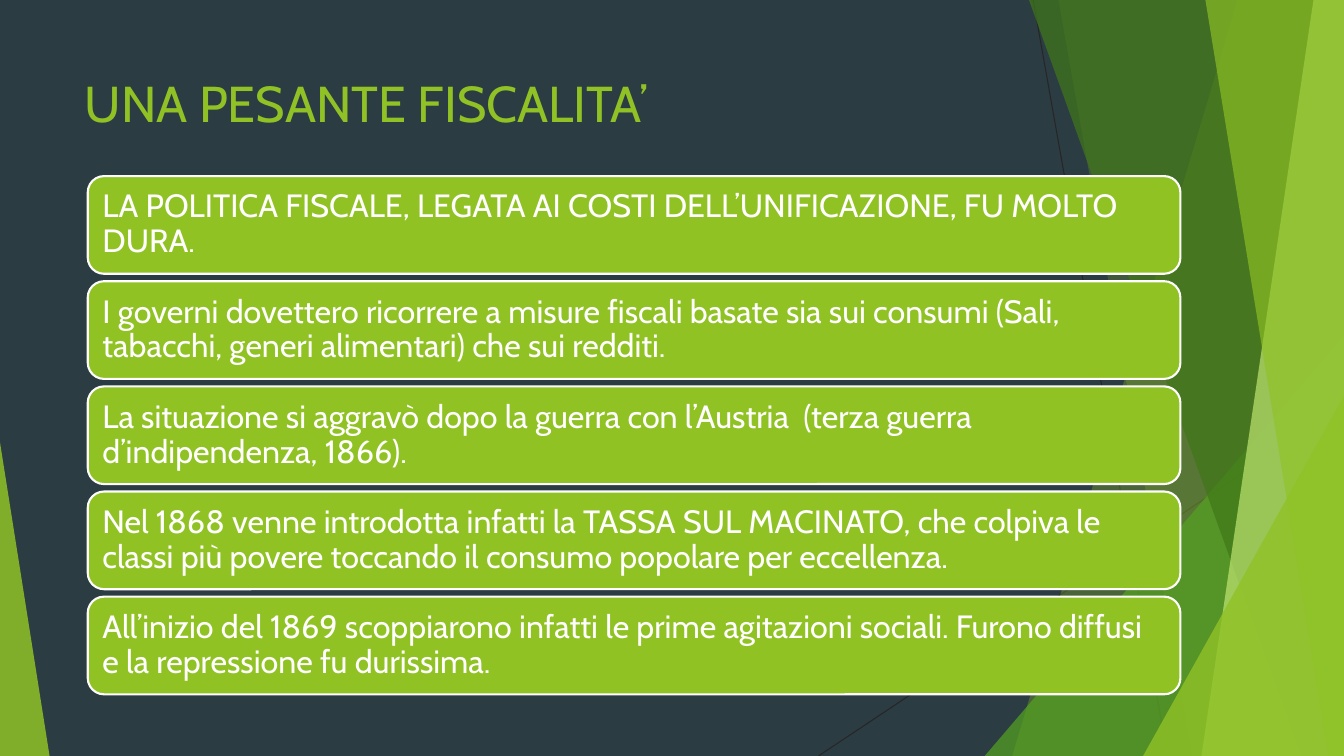
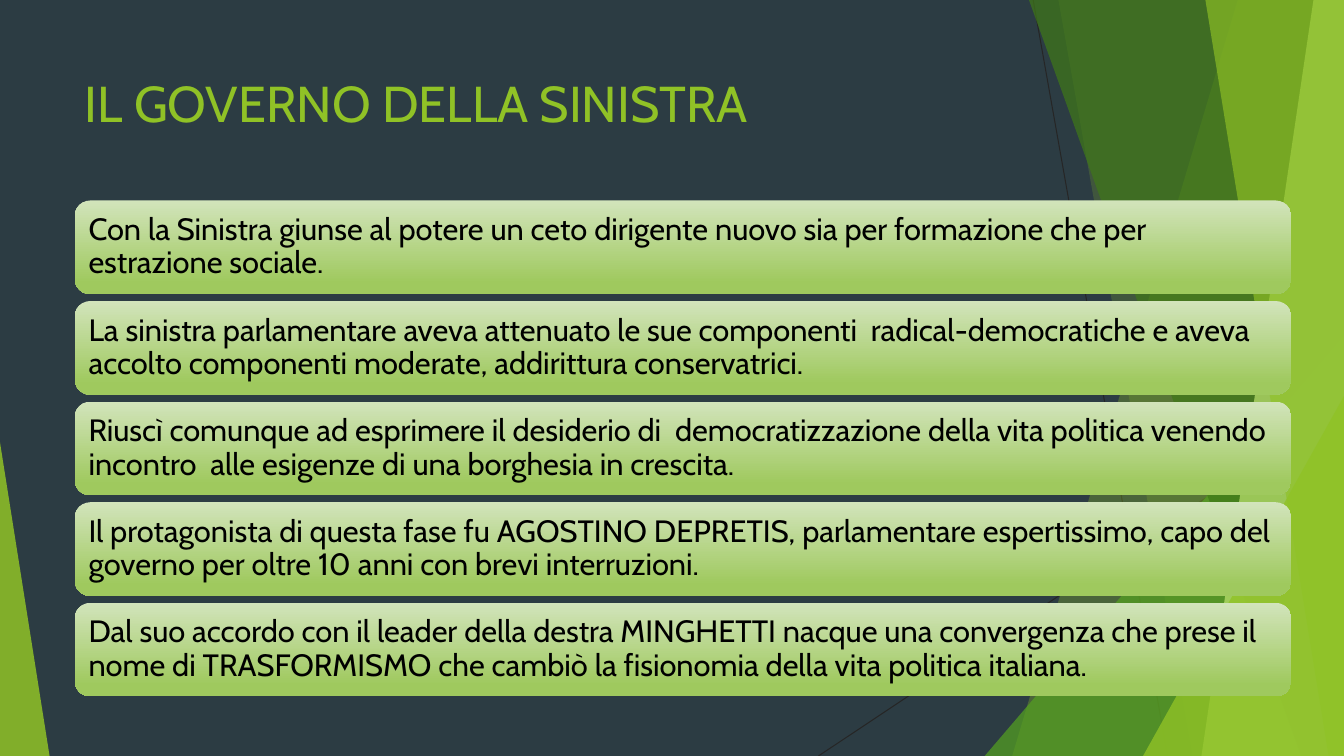
"""Two slides on Italian fiscal policy and the government of the Left."""
from lxml import etree
from pptx import Presentation
from pptx.dml.color import RGBColor
from pptx.enum.shapes import MSO_CONNECTOR, MSO_SHAPE
from pptx.enum.text import MSO_ANCHOR, PP_ALIGN
from pptx.oxml.ns import qn
from pptx.util import Pt

THEME = {
    "font": "Cabin", "title_size": 36,
    "background": "2C3C43", "hairline": "262626",
    "lime": "90C226", "green": "54A021", "forest": "3F7818", "pale": "BFE471",
    "card": "90C223", "card_top": "D2E4BB", "card_bottom": "9FC95E",
    "white": "FFFFFF", "black": "000000",
}
WIDTH, HEIGHT = 960, 540

HAIRLINES = [(738, 0, 834, 540), (960, 290, 584.6, 540)]
FACETS = [
    ("strip", (884.2, 723), "lime", 30),
    ("strip", (756, 852), "lime", 20),
    ("triangle", (703.4, 239.8, 256.6, 300.2, 1), "green", 72),
    ("strip", (735, 929.5), "forest", 70),
    ("strip", (938.2, 858.2), "pale", 70),
    ("strip", (861, 949), "lime", 65),
    ("triangle", (816.5, 283, 143.5, 257, 1), "lime", 80),
    ("triangle", (0, 316, 35.4, 224, 0), "lime", 85),
]
SLIDES = [
    {
        "title": "UNA PESANTE FISCALITA’",
        "left": 62.7, "top": 125.8, "width": 780.5, "height": 69.8, "pitch": 75.1,
        "gradient": False, "size": 23, "color": "white", "inset": 7.2,
        "cards": [
            "LA POLITICA FISCALE, LEGATA AI COSTI DELL’UNIFICAZIONE, FU MOLTO DURA.",
            "I governi dovettero ricorrere a misure fiscali basate sia sui consumi (Sali, tabacchi, generi alimentari) che sui redditi.",
            "La situazione si aggravò dopo la guerra con l’Austria  (terza guerra d’indipendenza, 1866).",
            "Nel 1868 venne introdotta infatti la TASSA SUL MACINATO, che colpiva le classi più povere toccando il consumo popolare per eccellenza.",
            "All’inizio del 1869 scoppiarono infatti le prime agitazioni sociali. Furono diffusi e la repressione fu durissima.",
        ],
    },
    {
        "title": "IL GOVERNO DELLA SINISTRA",
        "left": 53.4, "top": 143.2, "width": 869, "height": 66.9, "pitch": 71.85,
        "gradient": True, "size": 22, "color": "black", "inset": 6.6,
        "cards": [
            "Con la Sinistra giunse al potere un ceto dirigente nuovo sia per formazione che per estrazione sociale.",
            "La sinistra parlamentare aveva attenuato le sue componenti  radical-democratiche e aveva accolto componenti moderate, addirittura conservatrici.",
            "Riuscì comunque ad esprimere il desiderio di  democratizzazione della vita politica venendo incontro  alle esigenze di una borghesia in crescita.",
            "Il protagonista di questa fase fu AGOSTINO DEPRETIS, parlamentare espertissimo, capo del governo per oltre 10 anni con brevi interruzioni.",
            "Dal suo accordo con il leader della destra MINGHETTI nacque una convergenza che prese il nome di TRASFORMISMO che cambiò la fisionomia della vita politica italiana.",
        ],
    },
]


def rgb(name):
    return RGBColor.from_string(THEME[name])


def write(sp, text, *, size, color, inset_x=7.2, inset_y=3.6, anchor=MSO_ANCHOR.TOP, spacing=1.0):
    tf = sp.text_frame
    tf.word_wrap = True
    tf.vertical_anchor = anchor
    tf.margin_left = tf.margin_right = Pt(inset_x)
    tf.margin_top = tf.margin_bottom = Pt(inset_y)
    p = tf.paragraphs[0]
    p.alignment = PP_ALIGN.LEFT
    p.line_spacing = spacing
    r = p.add_run()
    r.text = text
    r.font.name = THEME["font"]
    r.font.size = Pt(size)
    r.font.color.rgb = rgb(color)


prs = Presentation()
prs.slide_width, prs.slide_height = Pt(WIDTH), Pt(HEIGHT)

for content in SLIDES:
    s = prs.slides.add_slide(prs.slide_layouts[6])
    s.background.fill.solid()
    s.background.fill.fore_color.rgb = rgb("background")

    for ends in HAIRLINES:
        line = s.shapes.add_connector(MSO_CONNECTOR.STRAIGHT, *[Pt(v) for v in ends])
        line.line.color.rgb = rgb("hairline")
        line.line.width = Pt(0.75)
        etree.SubElement(line._element.spPr, qn("a:effectLst"))

    for kind, geometry, color, opacity in FACETS:
        if kind == "strip":
            top_x, bottom_x = geometry
            outline = s.shapes.build_freeform(Pt(top_x), Pt(0))
            corners = [(WIDTH, 0), (WIDTH, HEIGHT), (bottom_x, HEIGHT)]
            outline.add_line_segments([(Pt(x), Pt(y)) for x, y in corners])
            sp = outline.convert_to_shape()
        else:
            *box, apex = geometry
            sp = s.shapes.add_shape(MSO_SHAPE.ISOSCELES_TRIANGLE, *[Pt(v) for v in box])
            sp.adjustments[0] = apex
        sp.shadow.inherit = False
        sp.line.fill.background()
        sp.fill.solid()
        sp.fill.fore_color.rgb = rgb(color)
        solid = sp._element.spPr.find(qn("a:solidFill"))
        etree.SubElement(solid[0], qn("a:alpha"), val=str(opacity * 1000))

    title = s.shapes.add_textbox(Pt(53.4), Pt(48), Pt(677), Pt(104))
    write(title, content["title"], size=THEME["title_size"], color="lime")

    for i, text in enumerate(content["cards"]):
        sp = s.shapes.add_shape(
            MSO_SHAPE.ROUNDED_RECTANGLE,
            Pt(content["left"]), Pt(content["top"] + i * content["pitch"]),
            Pt(content["width"]), Pt(content["height"]))
        sp.shadow.inherit = False
        if content["gradient"]:
            sp.fill.gradient()
            sp.fill.gradient_angle = 270
            stops = [(0, "card_top"), (0.88, "card_bottom")]
            for stop, (position, color) in zip(sp.fill.gradient_stops, stops):
                stop.position = position
                stop.color.rgb = rgb(color)
            sp.line.fill.background()
        else:
            sp.fill.solid()
            sp.fill.fore_color.rgb = rgb("card")
            sp.line.color.rgb = rgb("white")
            sp.line.width = Pt(1.5)
        write(sp, text, size=content["size"], color=content["color"],
              inset_x=content["inset"], inset_y=content["inset"],
              anchor=MSO_ANCHOR.MIDDLE, spacing=0.9)

prs.save("out.pptx")
